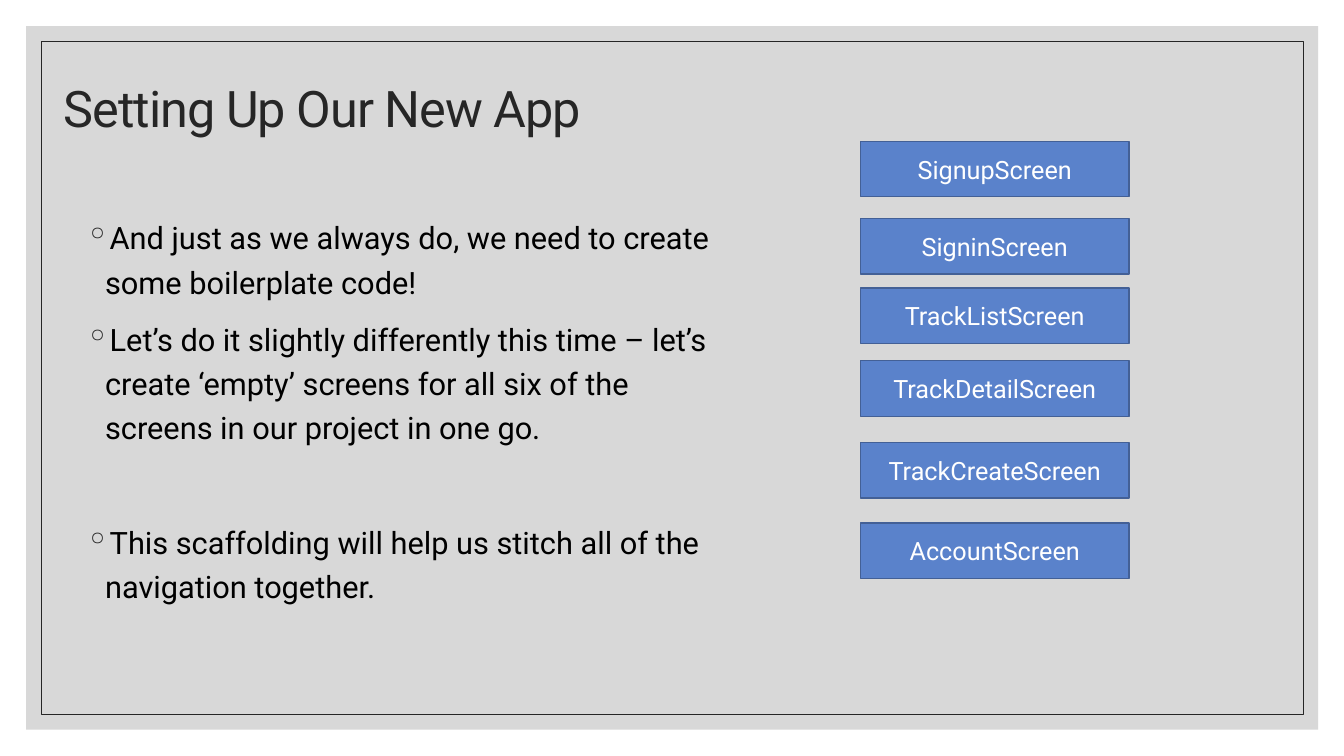
from dataclasses import dataclass

from lxml import etree
from pptx import Presentation
from pptx import util as u
from pptx.dml.color import RGBColor
from pptx.enum import shapes, text
from pptx.oxml import ns


@dataclass(frozen=True)
class Theme:
    font: str = "Roboto"
    dark: str = "262626"
    body: str = "000000"
    light: str = "FFFFFF"
    panel: str = "BFBFBF"
    panel_opacity: int = 60
    box_fill: str = "5A82CB"
    box_line: str = "436096"
    title_size: int = 36
    body_size: int = 22
    box_size: int = 18


class SlideBuilder:
    def __init__(self, presentation, theme):
        self.theme = theme
        self.slide = presentation.slides.add_slide(presentation.slide_layouts[5])

    def run(self, paragraph, words, size, color):
        run = paragraph.add_run()
        run.text = words
        run.font.name = self.theme.font
        run.font.size = u.Pt(size)
        run.font.color.rgb = RGBColor.from_string(color)
        return run

    def rectangle(self, left, top, width, height, fill=None, line=None, weight=1):
        shape = self.slide.shapes.add_shape(
            shapes.MSO_SHAPE.RECTANGLE, u.Cm(left), u.Cm(top), u.Cm(width), u.Cm(height))
        shape.shadow.inherit = False
        if fill:
            shape.fill.solid()
            shape.fill.fore_color.rgb = RGBColor.from_string(fill)
        else:
            shape.fill.background()
        if line:
            shape.line.color.rgb = RGBColor.from_string(line)
            shape.line.width = u.Pt(weight)
        else:
            shape.line.fill.background()
        return shape

    def backdrop(self):
        panel = self.rectangle(0.66, 0.66, 32.56, 17.73, fill=self.theme.panel)
        color = panel.element.spPr.find(ns.qn("a:solidFill"))[0]
        etree.SubElement(color, ns.qn("a:alpha"), val=str(self.theme.panel_opacity * 1000))
        frame = self.rectangle(1.04, 1.04, 31.8, 16.97, line=self.theme.dark, weight=0.5)
        for shape in (panel, frame):
            self.slide.shapes.title.element.addprevious(shape.element)

    def title(self, words):
        title = self.slide.shapes.title
        title.left, title.top = u.Cm(1.35), u.Cm(0.89)
        title.width, title.height = u.Cm(27.94), u.Cm(3.81)
        frame = title.text_frame
        frame.auto_size = text.MSO_AUTO_SIZE.NONE
        frame.vertical_anchor = text.MSO_ANCHOR.MIDDLE
        paragraph = frame.paragraphs[0]
        paragraph.alignment = text.PP_ALIGN.LEFT
        paragraph.line_spacing = 0.9
        run = self.run(paragraph, words, self.theme.title_size, self.theme.dark)
        run._r.get_or_add_rPr().set("spc", "-70")

    def bullets(self, items):
        box = self.slide.shapes.add_textbox(u.Cm(1.9), u.Cm(5.21), u.Cm(16.71), u.Cm(12.62))
        frame = box.text_frame
        frame.word_wrap = True
        for index, (words, space_before) in enumerate(items):
            paragraph = frame.add_paragraph() if index else frame.paragraphs[0]
            properties = paragraph._p.get_or_add_pPr()
            indent = u.Cm(0.5)
            properties.set("marL", str(indent))
            properties.set("indent", str(-indent))
            color = etree.SubElement(properties, ns.qn("a:buClr"))
            etree.SubElement(color, ns.qn("a:srgbClr"), val=self.theme.dark)
            etree.SubElement(properties, ns.qn("a:buChar"), char="◦")
            paragraph.line_spacing = 1.2
            paragraph.space_before = u.Pt(space_before)
            self.run(paragraph, words, self.theme.body_size, self.theme.body)

    def screen_box(self, name, top):
        box = self.rectangle(21.69, top, 6.76, 1.4, self.theme.box_fill, self.theme.box_line)
        frame = box.text_frame
        frame.vertical_anchor = text.MSO_ANCHOR.MIDDLE
        paragraph = frame.paragraphs[0]
        paragraph.alignment = text.PP_ALIGN.CENTER
        self.run(paragraph, name, self.theme.box_size, self.theme.light)


BULLETS = [
    ("And just as we always do, we need to create some boilerplate code!", 0),
    ("Let’s do it slightly differently this time – let’s create ‘empty’ screens "
     "for all six of the screens in our project in one go.", 9),
    ("This scaffolding will help us stitch all of the navigation together.", 50),
]
SCREENS = {
    "SignupScreen": 3.56,
    "SigninScreen": 5.51,
    "TrackListScreen": 7.26,
    "TrackDetailScreen": 9.09,
    "TrackCreateScreen": 11.15,
    "AccountScreen": 13.18,
}


def main():
    presentation = Presentation()
    presentation.slide_width, presentation.slide_height = u.Cm(33.87), u.Cm(19.05)
    builder = SlideBuilder(presentation, Theme())
    builder.backdrop()
    builder.title("Setting Up Our New App")
    builder.bullets(BULLETS)
    for name, top in SCREENS.items():
        builder.screen_box(name, top)
    presentation.save("out.pptx")


if __name__ == "__main__":
    main()
